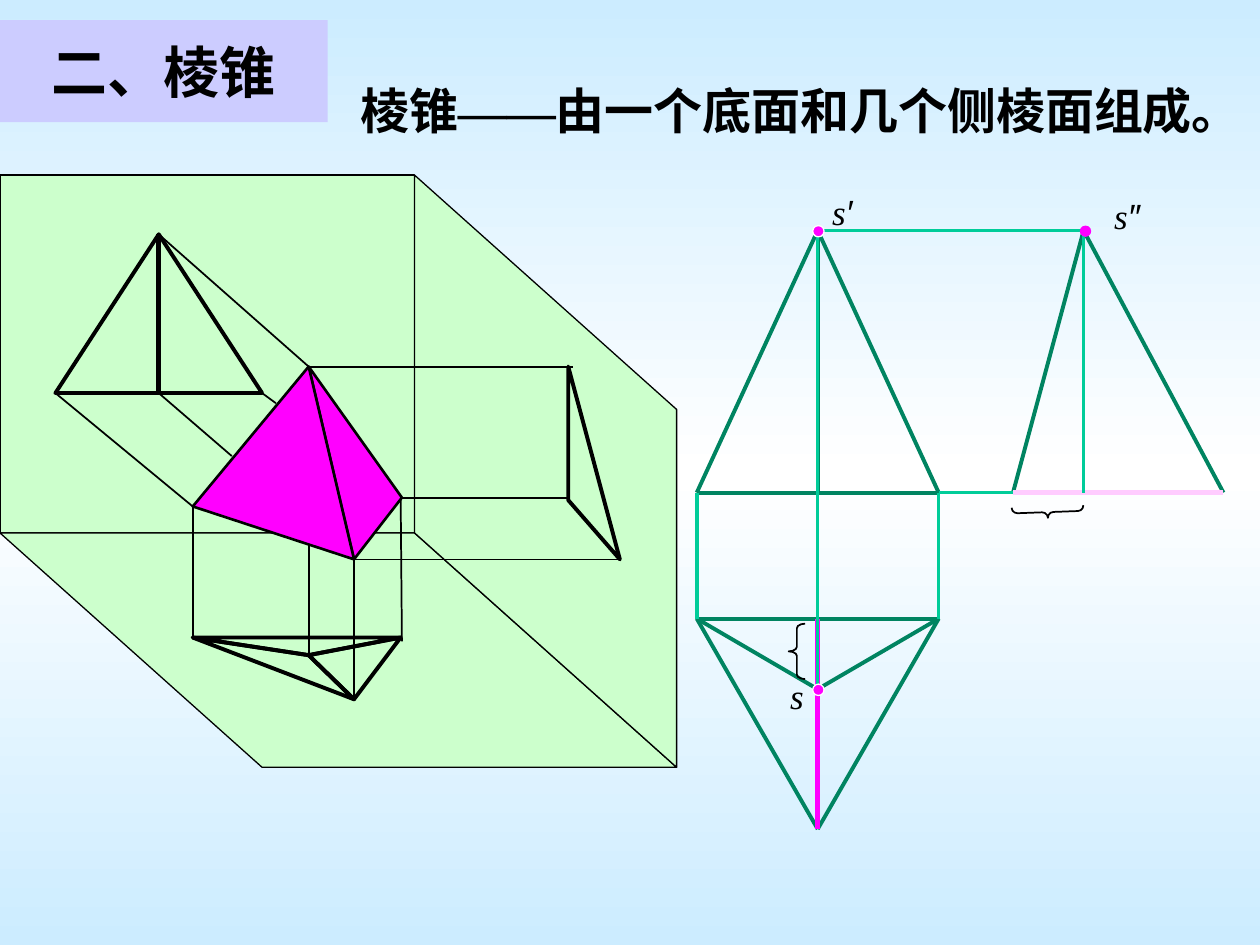
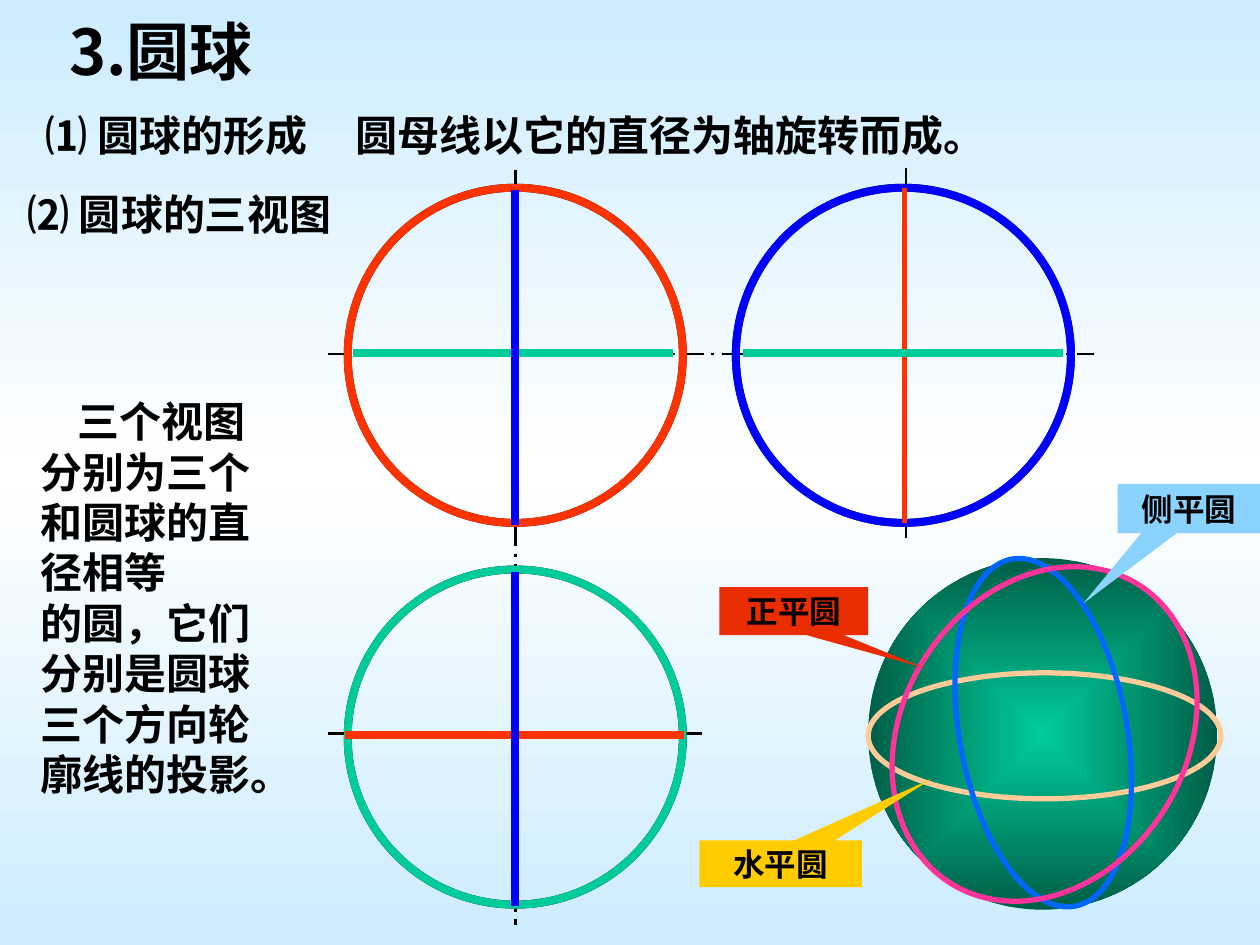
from dataclasses import dataclass
from typing import Optional

from lxml.etree import SubElement
from pptx import Presentation
from pptx.dml.color import RGBColor
from pptx.enum.dml import MSO_LINE
from pptx.enum.shapes import MSO_CONNECTOR, MSO_SHAPE
from pptx.enum.text import MSO_ANCHOR, MSO_AUTO_SIZE, PP_ALIGN
from pptx.oxml import parse_xml
from pptx.oxml.ns import nsdecls, qn
from pptx.util import Pt

PX = 9144  # EMU in one px, 100 px to the inch
CJK, TIMES, ARIAL = "Noto Sans CJK SC", "Times New Roman", "Arial"
BLACK, WHITE = "000000", "FFFFFF"
PALE_BLUE, LILAC, PALE_GREEN = "CCECFF", "CCCCFF", "CCFFCC"
TEAL, DARK_TEAL, MAGENTA = "00CC99", "008461", "FF00FF"
RED, BLUE = "FF3300", "0000FF"


@dataclass(frozen=True)
class Stroke:
    """A line for two points, an outline for more."""
    points: tuple
    color: str = BLACK
    width: float = 1
    fill: Optional[str] = None
    closed: bool = False
    dash: Optional[MSO_LINE] = None


@dataclass(frozen=True)
class Figure:
    """A preset shape in a box of left, top, width, height."""
    box: tuple
    kind: MSO_SHAPE = MSO_SHAPE.OVAL
    fill: Optional[str] = None
    color: Optional[str] = None
    width: float = 1
    turn: float = 0
    adjust: tuple = ()


@dataclass(frozen=True)
class Callout:
    text: str
    box: tuple
    tip: tuple
    fill: str


def rgb(color: str) -> RGBColor:
    return RGBColor.from_string(color)


def emu(*lengths: int) -> list:
    return [length * PX for length in lengths]


def paint_gradient(parent, stops: dict, direction: str) -> None:
    """Replace the solid fill of an element by a gradient."""
    marks = "".join(f'<a:gs pos="{place * 1000}"><a:srgbClr val="{color}"/></a:gs>'
                    for place, color in stops.items())
    gradient = parse_xml(f'<a:gradFill {nsdecls("a")} rotWithShape="1">'
                         f'<a:gsLst>{marks}</a:gsLst>{direction}</a:gradFill>')
    parent.replace(parent.find(qn("a:solidFill")), gradient)


def set_fill(shape, color: Optional[str]) -> None:
    if color:
        shape.fill.solid()
        shape.fill.fore_color.rgb = rgb(color)
    else:
        shape.fill.background()


def set_line(shape, color: Optional[str], width: float) -> None:
    if color:
        shape.line.color.rgb = rgb(color)
        shape.line.width = Pt(width)
    else:
        shape.line.fill.background()


def draw_stroke(slide, stroke: Stroke) -> None:
    first, *others = stroke.points
    if len(others) == 1:
        drawn = slide.shapes.add_connector(MSO_CONNECTOR.STRAIGHT, *emu(*first, *others[0]))
        SubElement(drawn.element.spPr, qn("a:effectLst"))
    else:
        builder = slide.shapes.build_freeform(*first, scale=PX)
        builder.add_line_segments(others, close=stroke.closed)
        drawn = builder.convert_to_shape()
        drawn.shadow.inherit = False
        set_fill(drawn, stroke.fill)
    set_line(drawn, stroke.color, stroke.width)
    if stroke.dash:
        drawn.line.dash_style = stroke.dash


def draw_figure(slide, figure: Figure):
    drawn = slide.shapes.add_shape(figure.kind, *emu(*figure.box))
    drawn.shadow.inherit = False
    set_fill(drawn, figure.fill)
    set_line(drawn, figure.color, figure.width)
    drawn.rotation = figure.turn
    for index, value in enumerate(figure.adjust):
        drawn.adjustments[index] = value
    return drawn


def write(shape, *paragraphs, size: int, font: str = CJK, east: Optional[str] = None,
          bold: bool = True, italic: bool = False, align=PP_ALIGN.LEFT,
          anchor=MSO_ANCHOR.TOP, wrap: bool = True, spacing: Optional[float] = None,
          indent: int = 0) -> None:
    """Write paragraphs; each is a string or a list of (text, font) runs."""
    frame = shape.text_frame
    frame.word_wrap = wrap
    frame.auto_size = MSO_AUTO_SIZE.NONE
    frame.vertical_anchor = anchor
    for number, content in enumerate(paragraphs):
        paragraph = frame.add_paragraph() if number else frame.paragraphs[0]
        paragraph.alignment = align
        paragraph.space_before = Pt(0)
        if spacing:
            paragraph.line_spacing = Pt(size * spacing)
        if indent and not number:
            paragraph._p.get_or_add_pPr().set("indent", str(indent * PX))
        for text, face in [(content, font)] if isinstance(content, str) else content:
            run = paragraph.add_run()
            run.text = text
            run.font.size = Pt(size)
            run.font.bold = bold
            run.font.italic = italic
            run.font.color.rgb = rgb(BLACK)
            run.font.name = face
            SubElement(run.font._element, qn("a:ea")).set("typeface", east or face)


def add_text(slide, box: tuple, *paragraphs, **style) -> None:
    write(slide.shapes.add_textbox(*emu(*box)), *paragraphs, **style)


def start_slide(deck, title: str, box: tuple, fill: Optional[str] = None, **style):
    slide = deck.slides.add_slide(deck.slide_layouts[5])
    heading = slide.shapes.title
    heading.left, heading.top, heading.width, heading.height = emu(*box)
    set_fill(heading, fill)
    write(heading, title, anchor=MSO_ANCHOR.MIDDLE, **style)
    return slide


def draw_pyramid_space(slide) -> None:
    """The pyramid between its three projection planes."""
    # Projection planes
    corner, far, low = (329, 139), (537, 325), (537, 609)
    hinge = (329, 423)
    planes = [((0, 139), corner, hinge, (0, 423)),
              ((0, 423), hinge, low, (208, 609)),
              (corner, far, low, hinge)]
    for plane in planes:
        draw_stroke(slide, Stroke(plane, width=0, fill=PALE_GREEN, closed=True))

    apex, left, right, front = (245, 291), (153, 402), (319, 395), (281, 444)
    # Front view and its projectors
    peak, foot = (126, 186), (126, 312)
    draw_stroke(slide, Stroke((peak, foot), width=3))
    draw_stroke(slide, Stroke((peak, (44, 312), (208, 312)), width=2.25, closed=True))
    projectors = [((44, 312), left), (foot, (184, 362)), ((208, 312), (219, 320)), (peak, apex)]
    # Side view projectors
    projectors += [(apex, (455, 291)), ((318, 395), (450, 395)), (front, (492, 444))]
    # Top view projectors
    projectors += [(apex, (245, 520)), (front, (281, 555)),
                   ((318, 395), (319, 509)), (left, (153, 506))]
    for projector in projectors:
        draw_stroke(slide, Stroke(projector))

    # Side view and top view
    plan_left, plan_right, plan_front, plan_apex = (153, 506), (318, 506), (281, 555), (245, 520)
    faces = [((451, 291), (451, 397), (492, 444)),
             (plan_left, plan_right, plan_apex),
             (plan_left, plan_front, plan_apex),
             (plan_front, plan_right, plan_apex)]
    for face in faces:
        draw_stroke(slide, Stroke(face, width=2.25, closed=True))

    # Solid
    for side in (right, left):
        draw_stroke(slide, Stroke((apex, side, front), width=1.5, fill=MAGENTA, closed=True))


def draw_pyramid_views(slide) -> None:
    """The three flat views of the pyramid."""
    left, axis, right = 553, 649, 745
    side_back, side_axis, side_front = 804, 860, 971
    top, base, plan, plan_apex, plan_front = 183, 391, 491, 547, 658

    edges = [((axis, plan_apex), (axis, plan_front)),
             ((axis, top), (axis, base)),
             ((side_axis, top), (side_front, base)), ((side_axis, top), (side_back, base)),
             ((left, base), (right, base)), ((left, plan), (right, plan))]
    for x in (left, right):
        edges += [((x, plan), (axis, plan_apex)), ((x, plan), (axis, plan_front)),
                  ((axis, top), (x, base))]
    for edge in edges:
        draw_stroke(slide, Stroke(edge, DARK_TEAL, 2.25))
    draw_stroke(slide, Stroke(((axis, plan), (axis, plan_front)), MAGENTA, 3))
    draw_stroke(slide, Stroke(((side_back, base), (side_front, base)), "FFCCFF", 3))

    # Thin projection lines
    guides = [((side_axis, top), (side_axis, base)), ((left, base), (left, plan)),
              ((right, base), (right, plan)), ((right, base), (side_back, base)),
              ((651, top), (861, top)), ((axis, plan_apex), (axis, top))]
    for guide in guides:
        draw_stroke(slide, Stroke(guide, TEAL, 0))

    # Apex in each view
    for x, y, rim in [(861, top, None), (axis, top, WHITE), (axis, plan_apex, WHITE)]:
        draw_figure(slide, Figure((x - 4, y - 4, 9, 9), fill=MAGENTA, color=rim, width=0))
    for box, mark in [((869, 149, 51, 44), "″"), ((645, 146, 47, 44), "′"),
                      ((617, 530, 31, 44), "")]:
        runs = [("s", TIMES), (mark, ARIAL)] if mark else "s"
        add_text(slide, box, runs, size=20, font=TIMES, bold=False, italic=True,
                 align=PP_ALIGN.CENTER, anchor=MSO_ANCHOR.MIDDLE, wrap=False)

    # Braces for the equal depth
    draw_figure(slide, Figure((626, 495, 13, 44), MSO_SHAPE.LEFT_BRACE, color=BLACK,
                              adjust=(0.28, 0.5)))
    draw_figure(slide, Figure((827, 378, 9, 57), MSO_SHAPE.RIGHT_BRACE, color=BLACK,
                              turn=87.9, adjust=(0.5, 0.5)))


def build_pyramid_slide(deck) -> None:
    slide = start_slide(deck, "二、棱锥", (0, 16, 260, 81), LILAC, size=32, font=TIMES,
                        east=CJK, align=PP_ALIGN.CENTER)
    draw_pyramid_space(slide)
    draw_pyramid_views(slide)
    add_text(slide, (276, 59, 724, 57),
             [("棱锥", CJK), ("——", TIMES), ("由一个底面和几个侧棱面组成。", CJK)],
             size=28, spacing=1.2)


def build_sphere_slide(deck) -> None:
    slide = start_slide(deck, "3.圆球", (45, 0, 850, 80), size=36)
    # Centre lines
    for axis in [((409, 135), (409, 734)), ((260, 582), (557, 582)),
                 ((260, 281), (868, 281)), ((719, 133), (719, 427))]:
        draw_stroke(slide, Stroke(axis, width=1.5, dash=MSO_LINE.LONG_DASH_DOT))

    # Outlines: a black circle below a coloured one
    views = {(276, 452): TEAL, (276, 149): RED, (584, 149): BLUE}
    for colors in ([BLACK] * 3, views.values()):
        for corner, color in zip(views, colors):
            draw_figure(slide, Figure((*corner, 266, 266), color=color, width=4.5))

    # Texts
    label = dict(size=24, spacing=1.2)
    add_text(slide, (272, 82, 689, 50), "圆母线以它的直径为轴旋转而成。", **label)
    add_text(slide, (17, 82, 246, 50), "⑴ 圆球的形成", align=PP_ALIGN.CENTER,
             anchor=MSO_ANCHOR.MIDDLE, wrap=False, **label)
    add_text(slide, (12, 145, 280, 50), "⑵ 圆球的三视图", wrap=False, **label)
    add_text(slide, (22, 289, 197, 370), "三个视图分别为三个和圆球的直径相等",
             "的圆，它们分别是圆球三个方向轮廓线的投影。",
             anchor=MSO_ANCHOR.MIDDLE, indent=30, **label)

    # Great circles seen edge-on
    for points, color, width in [
            (((274, 583), (543, 583)), RED, 4.5), (((280, 280), (534, 280)), TEAL, 4.5),
            (((718, 149), (718, 415)), RED, 3), (((590, 280), (844, 280)), TEAL, 4.5),
            (((409, 151), (409, 417)), BLUE, 4.5), (((409, 454), (409, 719)), BLUE, 4.5)]:
        draw_stroke(slide, Stroke(points, color, width))

    # Ball with its three great circles
    ball = draw_figure(slide, Figure((689, 443, 277, 279), fill=TEAL))
    paint_gradient(ball.element.spPr, {0: TEAL, 100: "005E47"},
                   '<a:path path="rect"><a:fillToRect l="50000" t="50000" '
                   'r="50000" b="50000"/></a:path>')
    for box, color, turn in [((689, 534, 280, 100), "FFCC99", 0),
                             ((688, 515, 280, 133), "0066FF", 79.7),
                             ((689, 470, 280, 225), "FF3399", 122.3)]:
        draw_figure(slide, Figure(box, color=color, width=3, turn=turn))

    # Names of the great circles
    for name in [Callout("正平圆", (571, 466, 118, 38), (0.89, 1.2), "EA2D00"),
                 Callout("水平圆", (555, 667, 129, 37), (0.93, -1.82), "FFCC00"),
                 Callout("侧平圆", (887, 384, 113, 39), (-0.74, 1.93), "8BD3FF")]:
        flag = draw_figure(slide, Figure(name.box, MSO_SHAPE.RECTANGULAR_CALLOUT,
                                         name.fill, adjust=name.tip))
        write(flag, name.text, size=18, font=TIMES, east=CJK, align=PP_ALIGN.CENTER,
              anchor=MSO_ANCHOR.MIDDLE)


def main() -> None:
    deck = Presentation()
    deck.slide_width, deck.slide_height = emu(1000, 750)
    # Shared background
    master = deck.slide_master
    set_fill(master.background, PALE_BLUE)
    paint_gradient(master.element.find(".//" + qn("p:bgPr")),
                   {0: PALE_BLUE, 50: WHITE, 100: PALE_BLUE},
                   '<a:lin ang="5400000" scaled="1"/>')
    build_pyramid_slide(deck)
    build_sphere_slide(deck)
    deck.save("out.pptx")


if __name__ == "__main__":
    main()
